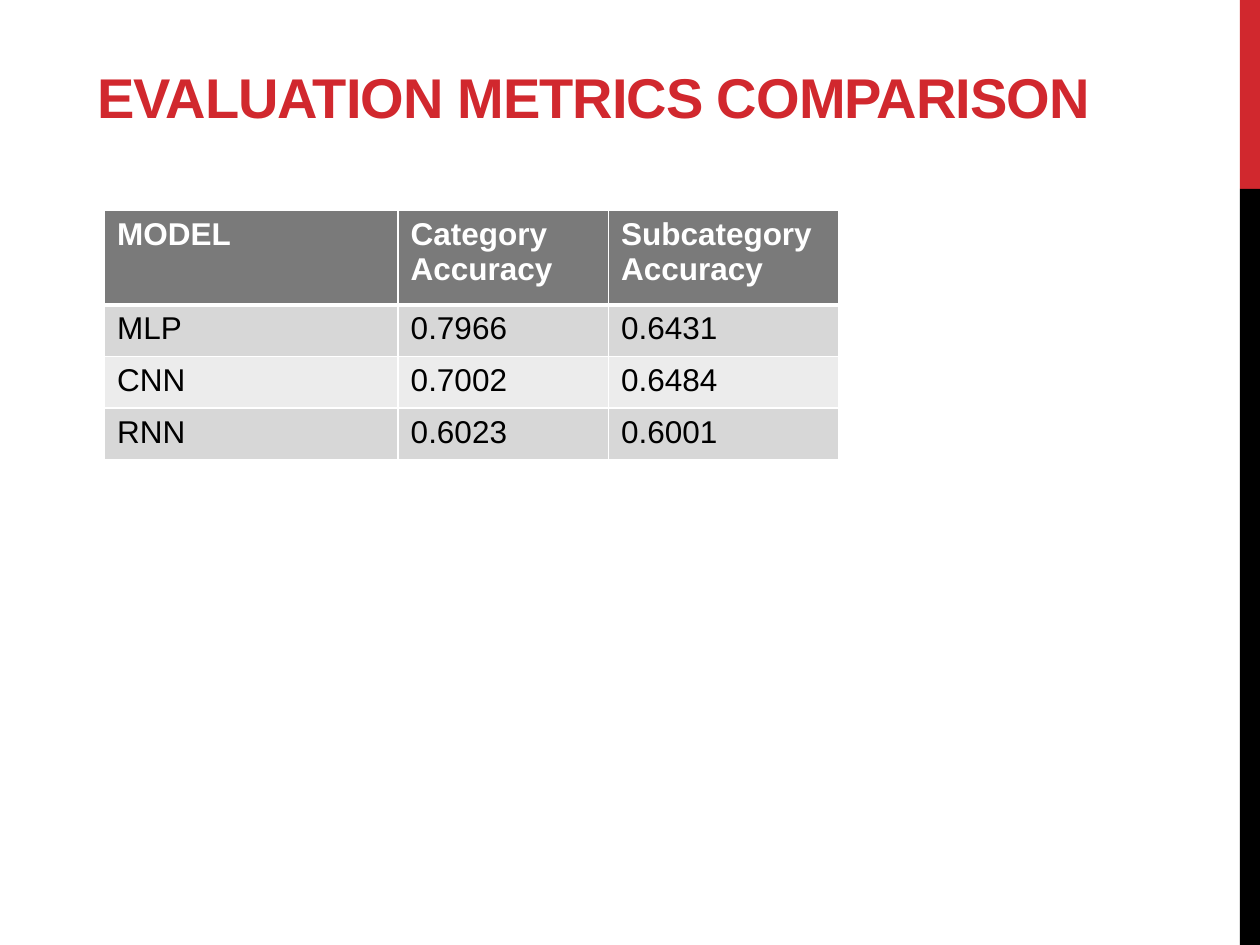
from lxml import etree
from pptx import Presentation
from pptx.dml.color import RGBColor
from pptx.enum.shapes import MSO_SHAPE
from pptx.enum.text import MSO_ANCHOR, PP_ALIGN
from pptx.oxml.ns import qn
from pptx.util import Inches, Pt

RECTANGLE = MSO_SHAPE.RECTANGLE
BOTTOM = MSO_ANCHOR.BOTTOM
LEFT = PP_ALIGN.LEFT
TITLE_ONLY = 5

FONT = "Arial"
RED, BLACK, WHITE = "D1282E", "000000", "FFFFFF"
HEADER_GREY, BANDS = "7A7A7A", ("D7D7D7", "ECECEC")

COLUMN_WIDTHS = (2.33, 1.67, 1.83)
HEADER_HEIGHT, ROW_HEIGHT = 0.75, 0.41
METRICS = [
    (["MODEL"], ["Category", "Accuracy"], ["Subcategory", "Accuracy"]),
    (["MLP"], ["0.7966"], ["0.6431"]),
    (["CNN"], ["0.7002"], ["0.6484"]),
    (["RNN"], ["0.6023"], ["0.6001"]),
]


def paint(color_format, hex_color):
    color_format.rgb = RGBColor.from_string(hex_color)


def fill_solid(target, hex_color):
    target.fill.solid()
    paint(target.fill.fore_color, hex_color)


def add_run(paragraph, text, size, color, bold):
    run = paragraph.add_run()
    run.text = text
    run.font.name = FONT
    run.font.size = Pt(size)
    run.font.bold = bold
    paint(run.font.color, color)
    return run


def add_side_band(slide, left, top, width, height):
    """Vertical edge band: the top fifth red, the rest black."""
    accent = height / 5
    for y, part, color in ((top, accent, RED),
                           (top + accent, height - accent, BLACK)):
        bar = slide.shapes.add_shape(RECTANGLE, Inches(left), Inches(y),
                                     Inches(width), Inches(part))
        bar.shadow.inherit = False
        fill_solid(bar, color)
        bar.line.fill.background()


def add_title(slide, text, left, top, width, height):
    title = slide.shapes.title
    title.left, title.top = Inches(left), Inches(top)
    title.width, title.height = Inches(width), Inches(height)
    frame = title.text_frame
    frame.word_wrap = True
    frame.vertical_anchor = BOTTOM
    heading = frame.paragraphs[0]
    heading.alignment = LEFT
    run = add_run(heading, text, 32, RED, True)
    run.font._element.set("spc", "-60")


def set_borders(cell, widths):
    """Draw white borders; widths maps a side (L, R, T, B) to points."""
    properties = cell._tc.get_or_add_tcPr()
    for side, points in widths.items():
        line = etree.SubElement(properties, qn(f"a:ln{side}"), w=str(Pt(points)))
        solid = etree.SubElement(line, qn("a:solidFill"))
        etree.SubElement(solid, qn("a:srgbClr"), val=WHITE)


def add_metrics_table(slide, left, top):
    heights = [HEADER_HEIGHT] + [ROW_HEIGHT] * (len(METRICS) - 1)
    table = slide.shapes.add_table(
        len(METRICS), len(COLUMN_WIDTHS), Inches(left), Inches(top),
        Inches(sum(COLUMN_WIDTHS)), Inches(sum(heights))).table
    for column, width in zip(table.columns, COLUMN_WIDTHS):
        column.width = Inches(width)

    for r, (row, height) in enumerate(zip(METRICS, heights)):
        table.rows[r].height = Inches(height)
        header = r == 0
        fill = HEADER_GREY if header else BANDS[(r - 1) % 2]
        # The rule under the header is shared with the first body row
        borders = {"L": 1, "R": 1, "T": 3 if r == 1 else 1, "B": 3 if header else 1}
        for c, lines in enumerate(row):
            cell = table.cell(r, c)
            set_borders(cell, borders)
            fill_solid(cell, fill)
            frame = cell.text_frame
            for i, line in enumerate(lines):
                paragraph = frame.add_paragraph() if i else frame.paragraphs[0]
                add_run(paragraph, line, 18, WHITE if header else BLACK, header)


def main():
    deck = Presentation()
    deck.slide_width, deck.slide_height = Inches(10), Inches(7.5)
    slide = deck.slides.add_slide(deck.slide_layouts[TITLE_ONLY])
    fill_solid(slide.background, WHITE)

    add_side_band(slide, 9.84, 0, 0.16, 7.5)
    add_title(slide, "EVALUATION METRICS COMPARISON", 0.67, -0.17, 9, 1.25)
    add_metrics_table(slide, 0.83, 1.67)

    deck.save("out.pptx")


if __name__ == "__main__":
    main()
